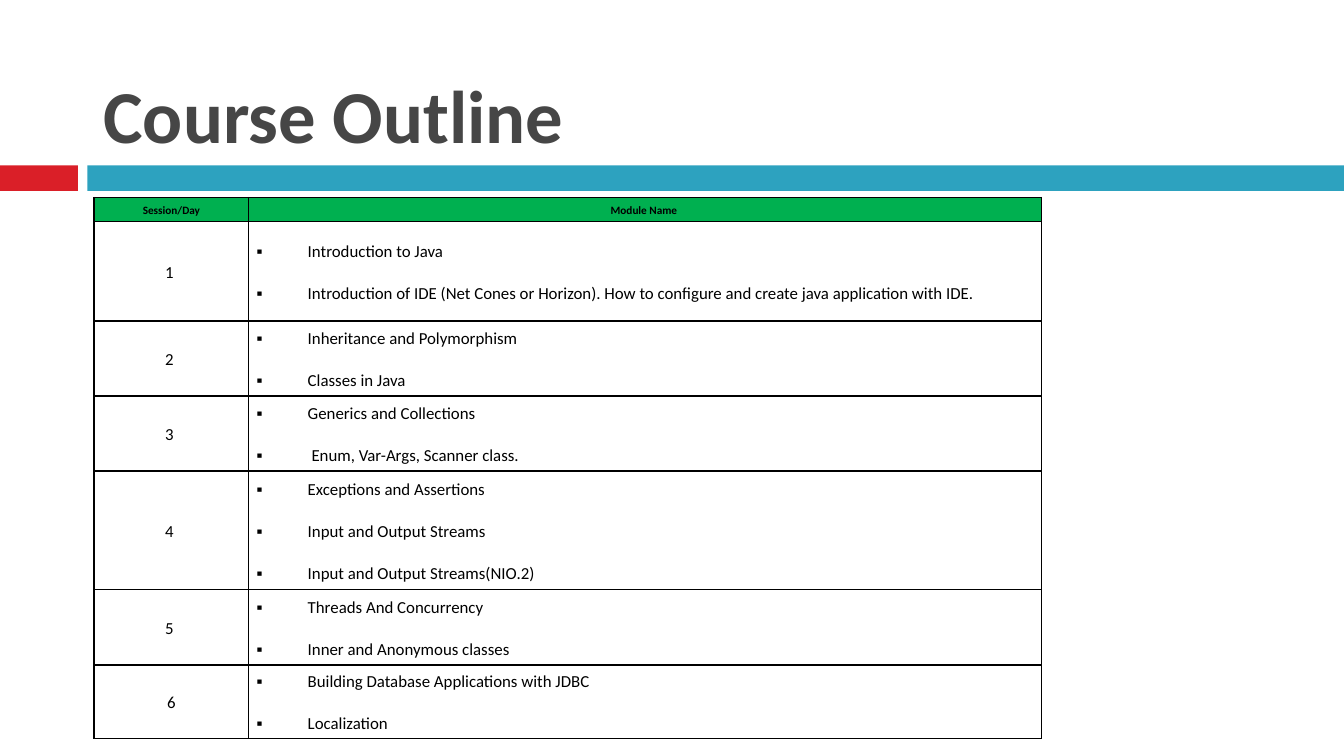
from lxml import etree
from pptx import Presentation
from pptx.dml.color import RGBColor
from pptx.enum.shapes import MSO_SHAPE
from pptx.enum.text import MSO_ANCHOR, PP_ALIGN
from pptx.oxml.ns import qn
from pptx.util import Inches, Pt

RECT = MSO_SHAPE.RECTANGLE
MIDDLE, BOTTOM = MSO_ANCHOR.MIDDLE, MSO_ANCHOR.BOTTOM
LEFT, CENTER = PP_ALIGN.LEFT, PP_ALIGN.CENTER

FONT = "Calibri"
COLORS = {"red": "DA1F28", "teal": "2DA2BF", "title": "464646",
          "header": "00B050", "white": "FFFFFF", "black": "000000"}

TITLE = "Course Outline"
HEADERS = ["Session/Day", "Module Name "]
SESSIONS = [
    ("1 ", ["Introduction to Java",
            "Introduction of IDE (Net Cones or Horizon). "
            "How to configure and create java application with IDE."]),
    ("2 ", ["Inheritance and Polymorphism", "Classes in Java"]),
    ("3 ", ["Generics and Collections", " Enum, Var-Args, Scanner class."]),
    ("4 ", ["Exceptions and Assertions", "Input and Output Streams",
            "Input and Output Streams(NIO.2)"]),
    ("5 ", ["Threads And Concurrency", "Inner and Anonymous classes"]),
    ("6", ["Building Database Applications with JDBC", "Localization"]),
]
BARS = [(0, 0.58, "red"), (0.65, 9.35, "teal")]
COL_WIDTHS = [1.15, 5.9]
ROW_HEIGHTS = [0.17, 0.74, 0.56, 0.56, 0.88, 0.56, 0.55]


def rgb(name):
    return RGBColor.from_string(COLORS[name])


def add_run(p, text, size, color="black", bold=False):
    r = p.add_run()
    r.text = text
    r.font.name, r.font.size, r.font.bold = FONT, Pt(size), bold
    r.font.color.rgb = rgb(color)


def add_bullet(p):
    """Give the paragraph a square bullet with a hanging indent."""
    pPr = p._p.get_or_add_pPr()
    pPr.set("marL", str(Inches(0.38)))
    pPr.set("indent", str(-Inches(0.38)))
    etree.SubElement(pPr, qn("a:buFont")).set("typeface", FONT)
    etree.SubElement(pPr, qn("a:buChar")).set("char", "▪")


def add_borders(cell):
    tcPr = cell._tc.get_or_add_tcPr()
    for side in ("lnL", "lnR", "lnT", "lnB"):
        ln = etree.SubElement(tcPr, qn(f"a:{side}"), w=str(Pt(1)))
        fill = etree.SubElement(ln, qn("a:solidFill"))
        etree.SubElement(fill, qn("a:srgbClr"), val=COLORS["black"])


def fill_cell(cell, lines, size=9, fill="white", bold=False, bullets=False):
    add_borders(cell)
    cell.fill.solid()
    cell.fill.fore_color.rgb = rgb(fill)
    cell.vertical_anchor = MIDDLE
    cell.margin_left = cell.margin_right = Inches(0.06)
    cell.margin_top = cell.margin_bottom = Inches(0.03)
    tf = cell.text_frame
    for i, line in enumerate(lines):
        p = tf.add_paragraph() if i else tf.paragraphs[0]
        p.alignment = LEFT if bullets else CENTER
        p.line_spacing, p.space_after = 1.15, Pt(10)
        if bullets:
            add_bullet(p)
        add_run(p, line, size, bold=bold)


prs = Presentation()
prs.slide_width, prs.slide_height = Inches(10), Inches(10 * 9 / 16)
s = prs.slides.add_slide(prs.slide_layouts[5])

for left, width, color in BARS:
    bar = s.shapes.add_shape(RECT, Inches(left), Inches(1.23), Inches(width), Inches(0.19))
    bar.shadow.inherit = False
    bar.fill.solid()
    bar.fill.fore_color.rgb = rgb(color)
    bar.line.fill.background()

title = s.shapes.title
title.left, title.top = Inches(0.67), Inches(0.13)
title.width, title.height = Inches(9.33), Inches(1.1)
tf = title.text_frame
tf.vertical_anchor = BOTTOM
p = tf.paragraphs[0]
p.alignment = LEFT
add_run(p, TITLE, 40, "title", True)

table = s.shapes.add_table(len(ROW_HEIGHTS), len(COL_WIDTHS), Inches(0.7), Inches(1.47),
                           Inches(sum(COL_WIDTHS)), Inches(sum(ROW_HEIGHTS))).table
for col, width in zip(table.columns, COL_WIDTHS):
    col.width = Inches(width)
for row, height in zip(table.rows, ROW_HEIGHTS):
    row.height = Inches(height)

for c, header in enumerate(HEADERS):
    fill_cell(table.cell(0, c), [header], 6, "header", bold=True)
for i, (session, modules) in enumerate(SESSIONS, start=1):
    fill_cell(table.cell(i, 0), [session])
    fill_cell(table.cell(i, 1), modules, bullets=True)

prs.save("out.pptx")
